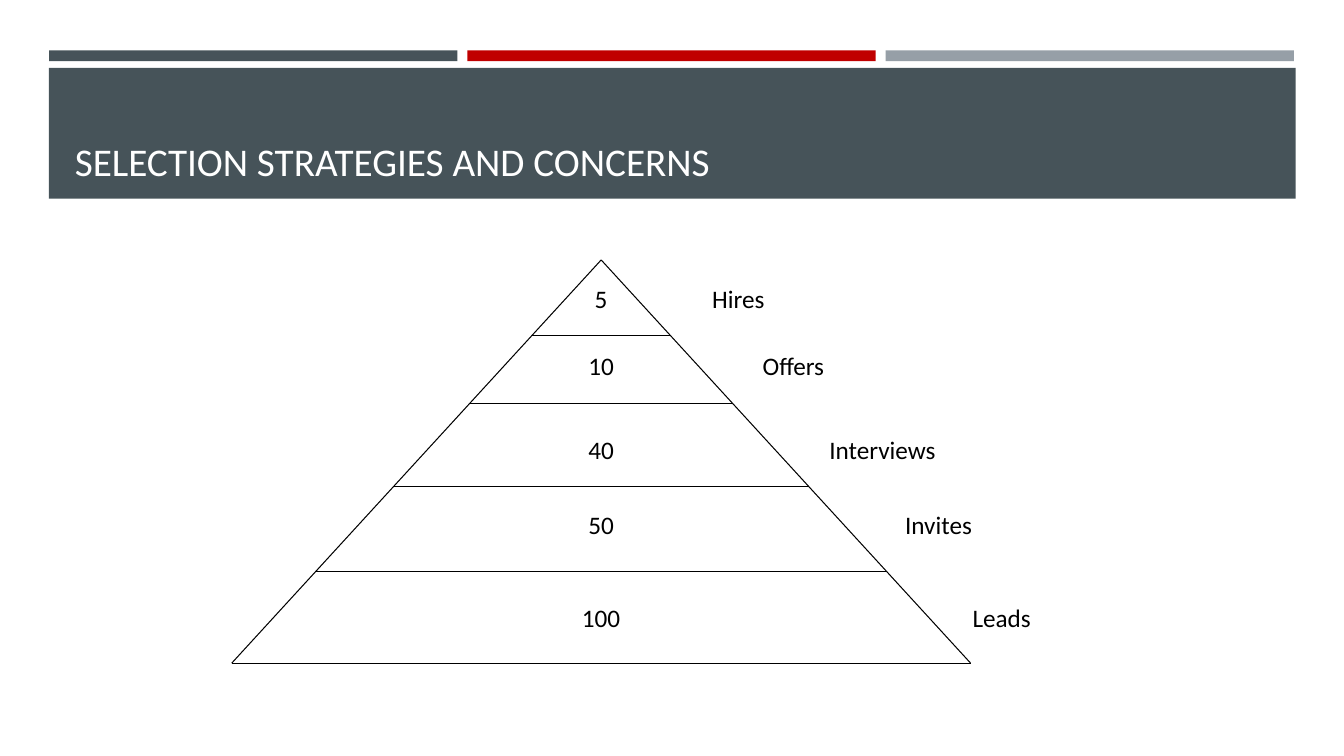
from dataclasses import dataclass

from lxml import etree
from pptx import Presentation, util as u
from pptx.dml.color import RGBColor
from pptx.enum import shapes, text
from pptx.oxml import ns

SLATE, RED, GREY = "465359", "C00000", "969FA7"
BLACK, WHITE = "000000", "FFFFFF"

# Pyramid geometry in centimetres
APEX_X, APEX_Y, BASE_Y, HALF_BASE = 15.15, 6.55, 16.71, 9.31
LABEL_HEIGHT = 1.02


@dataclass
class Level:
    count: str
    label: str
    label_left: float
    label_width: float
    text_top: float
    floor: float


@dataclass
class Bar:
    left: float
    top: float
    width: float
    height: float
    colour: str


LEVELS = [
    Level("5", "Hires", 17.7, 4.01, 7.01, 8.46),
    Level("10", "Offers", 18.97, 5.72, 8.71, 10.16),
    Level("40", "Interviews", 20.65, 4.88, 10.82, 12.27),
    Level("50", "Invites", 22.56, 3.81, 12.7, 14.4),
    Level("100", "Leads", 24.26, 3.81, 15.06, BASE_Y),
]
BARS = [Bar(1.24 + 10.54 * index, 1.27, 10.29, 0.27, colour)
        for index, colour in enumerate([SLATE, RED, GREY])]
BARS.append(Bar(1.23, 1.71, 31.42, 3.3, SLATE))


def rgb(colour: str) -> RGBColor:
    return RGBColor.from_string(colour)


def set_attributes(target, values: dict) -> None:
    for name, value in values.items():
        setattr(target, name, value)


def write_text(shape, content: str, size: int, colour: str, alignment, anchor) -> None:
    frame = shape.text_frame
    frame.text = content
    set_attributes(frame, {"word_wrap": True, "auto_size": text.MSO_AUTO_SIZE.NONE,
                           "vertical_anchor": anchor})
    paragraph = frame.paragraphs[0]
    paragraph.alignment = alignment
    set_attributes(paragraph.font, {"name": "Calibri", "size": u.Pt(size)})
    paragraph.font.color.rgb = rgb(colour)


def draw_bar(slide, bar: Bar) -> None:
    box = [u.Cm(value) for value in (bar.left, bar.top, bar.width, bar.height)]
    shape = slide.shapes.add_shape(shapes.MSO_SHAPE.RECTANGLE, *box)
    shape.shadow.inherit = False
    shape.fill.solid()
    shape.fill.fore_color.rgb = rgb(bar.colour)
    shape.line.fill.background()


def draw_title(slide, content: str) -> None:
    title = slide.shapes.title
    set_attributes(title, {"left": u.Cm(1.63), "top": u.Cm(1.96),
                           "width": u.Cm(30.63), "height": u.Cm(2.82)})
    write_text(title, content, 28, WHITE, text.PP_ALIGN.LEFT, text.MSO_ANCHOR.BOTTOM)
    # Bring the title in front of the bars
    title.element.getparent().append(title.element)


def draw_line(slide, x1: float, y1: float, x2: float, y2: float) -> None:
    ends = [u.Cm(value) for value in (x1, y1, x2, y2)]
    line = slide.shapes.add_connector(shapes.MSO_CONNECTOR.STRAIGHT, *ends)
    line.line.color.rgb = rgb(BLACK)
    line.line.width = u.Pt(0.75)
    etree.SubElement(line.element.spPr, ns.qn("a:effectLst"))


def draw_label(slide, content: str, left: float, top: float, width: float, alignment) -> None:
    box = [u.Cm(value) for value in (left, top, width, LABEL_HEIGHT)]
    label = slide.shapes.add_textbox(*box)
    write_text(label, content, 18, BLACK, alignment, text.MSO_ANCHOR.TOP)


def draw_pyramid(slide) -> None:
    left = APEX_X - HALF_BASE
    for side in (-1, 1):
        draw_line(slide, APEX_X, APEX_Y, APEX_X + side * HALF_BASE, BASE_Y)
    for level in LEVELS:
        reach = HALF_BASE * (level.floor - APEX_Y) / (BASE_Y - APEX_Y)
        draw_line(slide, APEX_X - reach, level.floor, APEX_X + reach, level.floor)
        draw_label(slide, level.count, left, level.text_top, 2 * HALF_BASE,
                   text.PP_ALIGN.CENTER)
        draw_label(slide, level.label, level.label_left, level.text_top,
                   level.label_width, text.PP_ALIGN.LEFT)


def main() -> None:
    presentation = Presentation()
    set_attributes(presentation, {"slide_width": u.Cm(33.87), "slide_height": u.Cm(19.05)})
    slide = presentation.slides.add_slide(presentation.slide_layouts.get_by_name("Title Only"))
    for bar in BARS:
        draw_bar(slide, bar)
    draw_title(slide, "SELECTION STRATEGIES AND CONCERNS")
    draw_pyramid(slide)
    presentation.save("out.pptx")


if __name__ == "__main__":
    main()
